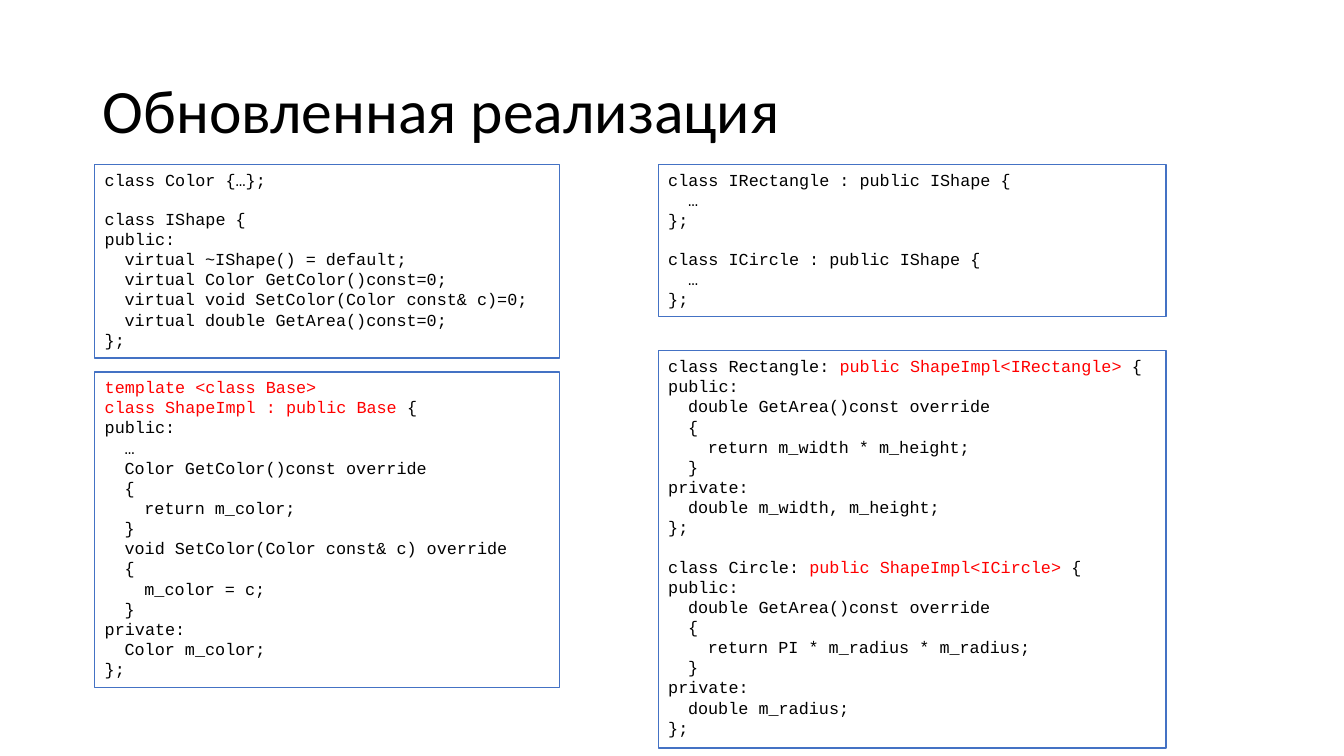
from dataclasses import dataclass

from lxml import etree
from pptx import Presentation
from pptx.dml.color import RGBColor
from pptx.enum.text import MSO_ANCHOR, MSO_AUTO_SIZE
from pptx.oxml.ns import qn
from pptx.util import Cm, Pt

TOP, MIDDLE = MSO_ANCHOR.TOP, MSO_ANCHOR.MIDDLE
GROW, FIXED = MSO_AUTO_SIZE.SHAPE_TO_FIT_TEXT, MSO_AUTO_SIZE.NONE

COLORS = {"text": "000000", "accent": "FF0000", "fill": "FFFFFF", "border": "4472C4"}
TITLE_FONT = {"name": "Calibri", "size": Pt(44)}
CODE_FONT = {"name": "Courier New", "size": Pt(12)}
TITLE_FRAME = {"word_wrap": True, "auto_size": FIXED, "vertical_anchor": MIDDLE}
CODE_FRAME = {"word_wrap": True, "auto_size": GROW, "vertical_anchor": TOP}

TAB_STEP = Cm(0.5)
CLASS_GAP = Pt(13.6)
ACCENT_MARK = "`"  # encloses highlighted code

LEFT_COLUMN = (2.39, 11.71)
RIGHT_COLUMN = (16.59, 12.8)


@dataclass
class Listing:
    column: tuple[float, float]  # left and width, cm
    top: float
    height: float
    code: str  # a blank line starts a new class


# Code listings
LISTINGS = [
    Listing(LEFT_COLUMN, 4.14, 4.88, """class Color {…};

class IShape {
public:
\tvirtual ~IShape() = default;
\tvirtual Color GetColor()const=0;
\tvirtual void SetColor(Color const& c)=0;
\tvirtual double GetArea()const=0;
};"""),
    Listing(LEFT_COLUMN, 9.37, 7.95, """`template <class Base>`
`class ShapeImpl : public Base `{
public:
\t…
\tColor GetColor()const override
\t{
\t\treturn m_color;
\t}
\tvoid SetColor(Color const& c) override
\t{
\t\tm_color = c;
\t}
private:
\tColor m_color;
};"""),
    Listing(RIGHT_COLUMN, 4.14, 3.84, """class IRectangle : public IShape {
\t…
};

class ICircle : public IShape {
\t…
};"""),
    Listing(RIGHT_COLUMN, 8.84, 10.01, """class Rectangle: `public ShapeImpl<IRectangle> `{
public:
\tdouble GetArea()const override
\t{
\t\treturn m_width * m_height;
\t}
private:
\tdouble m_width, m_height;
};

class Circle: `public ShapeImpl<ICircle> `{
public:
\tdouble GetArea()const override
\t{
\t\treturn PI * m_radius * m_radius;
\t}
private:
\tdouble m_radius;
};"""),
]


def apply_format(target, values: dict) -> None:
    for name, value in values.items():
        setattr(target, name, value)


def color(name: str) -> RGBColor:
    return RGBColor.from_string(COLORS[name])


def add_box(page, left: float, top: float, width: float, height: float, frame: dict):
    box = page.shapes.add_textbox(Cm(left), Cm(top), Cm(width), Cm(height))
    apply_format(box.text_frame, frame)
    return box


def add_span(para, text: str, font: dict, color_name: str) -> None:
    span = para.add_run()
    span.text = text
    apply_format(span.font, font)
    span.font.color.rgb = color(color_name)


def add_tab_stops(para, count: int) -> None:
    stops = etree.SubElement(para._p.get_or_add_pPr(), qn("a:tabLst"))
    for number in range(1, count + 1):
        etree.SubElement(stops, qn("a:tab"), pos=str(number * TAB_STEP), algn="l")


def add_code_line(para, line: str) -> None:
    depth = line.count("\t")
    if depth:
        add_tab_stops(para, depth)
    for index, text in enumerate(line.split(ACCENT_MARK)):
        if text:
            add_span(para, text, CODE_FONT, "accent" if index % 2 else "text")


def add_listing(page, listing: Listing) -> None:
    left, width = listing.column
    box = add_box(page, left, listing.top, width, listing.height, CODE_FRAME)
    box.fill.solid()
    box.fill.fore_color.rgb = color("fill")
    box.line.color.rgb = color("border")
    box.line.width = Pt(1)

    frame = box.text_frame
    for block_index, block in enumerate(listing.code.split("\n\n")):
        for line_index, line in enumerate(block.split("\n")):
            is_first = block_index == line_index == 0
            para = frame.paragraphs[0] if is_first else frame.add_paragraph()
            if block_index and line_index == 0:
                para.space_before = CLASS_GAP
            add_code_line(para, line)


def add_title(page, text: str) -> None:
    box = add_box(page, 2.34, 1.02, 29.21, 3.68, TITLE_FRAME)
    para = box.text_frame.paragraphs[0]
    para.line_spacing = 0.9
    add_span(para, text, TITLE_FONT, "text")


def main() -> None:
    deck = Presentation()
    deck.slide_width, deck.slide_height = Cm(33.87), Cm(19.05)
    page = deck.slides.add_slide(deck.slide_layouts[6])

    add_title(page, "Обновленная реализация")
    for listing in LISTINGS:
        add_listing(page, listing)

    deck.save("out.pptx")


if __name__ == "__main__":
    main()
